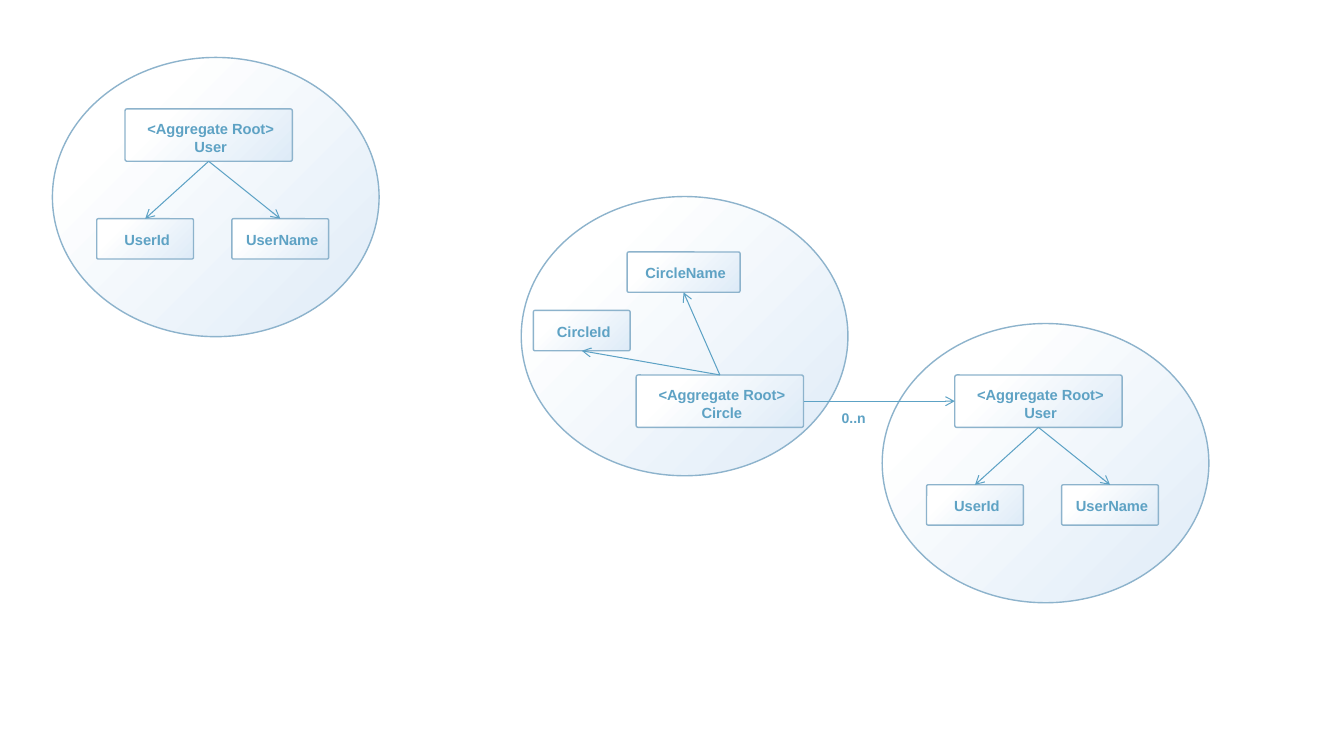
from pptx import Presentation
from pptx.dml.color import RGBColor
from pptx.enum.shapes import MSO_CONNECTOR, MSO_SHAPE
from pptx.enum.text import MSO_AUTO_SIZE, PP_ALIGN
from pptx.oxml.ns import qn
from pptx.util import Pt
from lxml.etree import SubElement

PX = 9144
WHITE = RGBColor(0xFF, 0xFF, 0xFF)
PALE_BLUE = RGBColor(0xDE, 0xEB, 0xF7)
OUTLINE = RGBColor(0x8D, 0xB3, 0xCC)
ARROW = RGBColor(0x5D, 0xA2, 0xC5)
TEXT = RGBColor(0x5E, 0xA2, 0xC4)
TOP, LEFT, BOTTOM, RIGHT = range(4)
ROOT_SIZE = (166, 52)
PART_HEIGHT = 40


def px(*lengths):
    return [n * PX for n in lengths]


def add_gradient_shape(s, kind, x, y, w, h):
    sp = s.shapes.add_shape(kind, *px(x, y, w, h))
    sp.shadow.inherit = False
    sp.fill.gradient()
    sp.fill.gradient_angle = 315
    stops = sp.fill.gradient_stops
    for stop, position, color in zip(stops, (0.21, 1), (WHITE, PALE_BLUE)):
        stop.position = position
        stop.color.rgb = color
    sp.line.color.rgb = OUTLINE
    sp.line.width = Pt(1)
    return sp


def add_text(s, text, x, y, w, h, size=10.5, align=PP_ALIGN.CENTER, wrap=True):
    tf = s.shapes.add_textbox(*px(x, y, w, h)).text_frame
    tf.word_wrap = wrap
    tf.auto_size = MSO_AUTO_SIZE.SHAPE_TO_FIT_TEXT
    tf.text = text
    for p in tf.paragraphs:
        p.alignment = align
        for r in p.runs:
            r.font.name = "Arial"
            r.font.size = Pt(size)
            r.font.bold = True
            r.font.color.rgb = TEXT


def add_box(s, text, x, y, w, h):
    sp = add_gradient_shape(s, MSO_SHAPE.ROUNDED_RECTANGLE, x, y, w, h)
    sp.adjustments[0] = 0.04
    lines = text.count("\n") + 1
    add_text(s, text, x + 3, y + 8 - lines, w - 2, 17 * lines + 11)
    return sp


def add_arrow(s, target, target_side, source, source_side):
    line = s.shapes.add_connector(MSO_CONNECTOR.STRAIGHT, 0, 0, 0, 0)
    line.begin_connect(target, target_side)
    line.end_connect(source, source_side)
    line.line.color.rgb = ARROW
    line.line.width = Pt(0.75)
    SubElement(line.line._get_or_add_ln(), qn("a:headEnd"), type="arrow")
    SubElement(line._element.spPr, qn("a:effectLst"))


def add_aggregate(s, x, y, name, root_at, parts, part_side, root_side):
    add_gradient_shape(s, MSO_SHAPE.OVAL, x, y, 324, 277)
    dx, dy = root_at
    root = add_box(s, f"<Aggregate Root>\n{name}", x + dx, y + dy, *ROOT_SIZE)
    boxes = [add_box(s, text, x + dx, y + dy, w, PART_HEIGHT)
             for text, dx, dy, w in parts]
    for box in boxes:
        add_arrow(s, box, part_side, root, root_side)
    return root


def add_user(s, x, y):
    parts = [("UserId", 44, 160, 96), ("UserName", 178, 160, 96)]
    return add_aggregate(s, x, y, "User", (72, 51), parts, TOP, BOTTOM)


def add_circle(s, x, y):
    parts = [("CircleId", 12, 113, 96), ("CircleName", 105, 55, 112)]
    return add_aggregate(s, x, y, "Circle", (114, 177), parts, BOTTOM, TOP)


def main():
    prs = Presentation()
    prs.slide_width, prs.slide_height = px(1333, 750)
    s = prs.slides.add_slide(prs.slide_layouts[6])
    add_user(s, 52, 57)
    circle = add_circle(s, 517, 195)
    member = add_user(s, 875, 321)
    add_arrow(s, member, LEFT, circle, RIGHT)
    add_text(s, "0..n", 825, 401, 47, 27, 10, PP_ALIGN.LEFT, False)
    prs.save("out.pptx")


if __name__ == "__main__":
    main()
